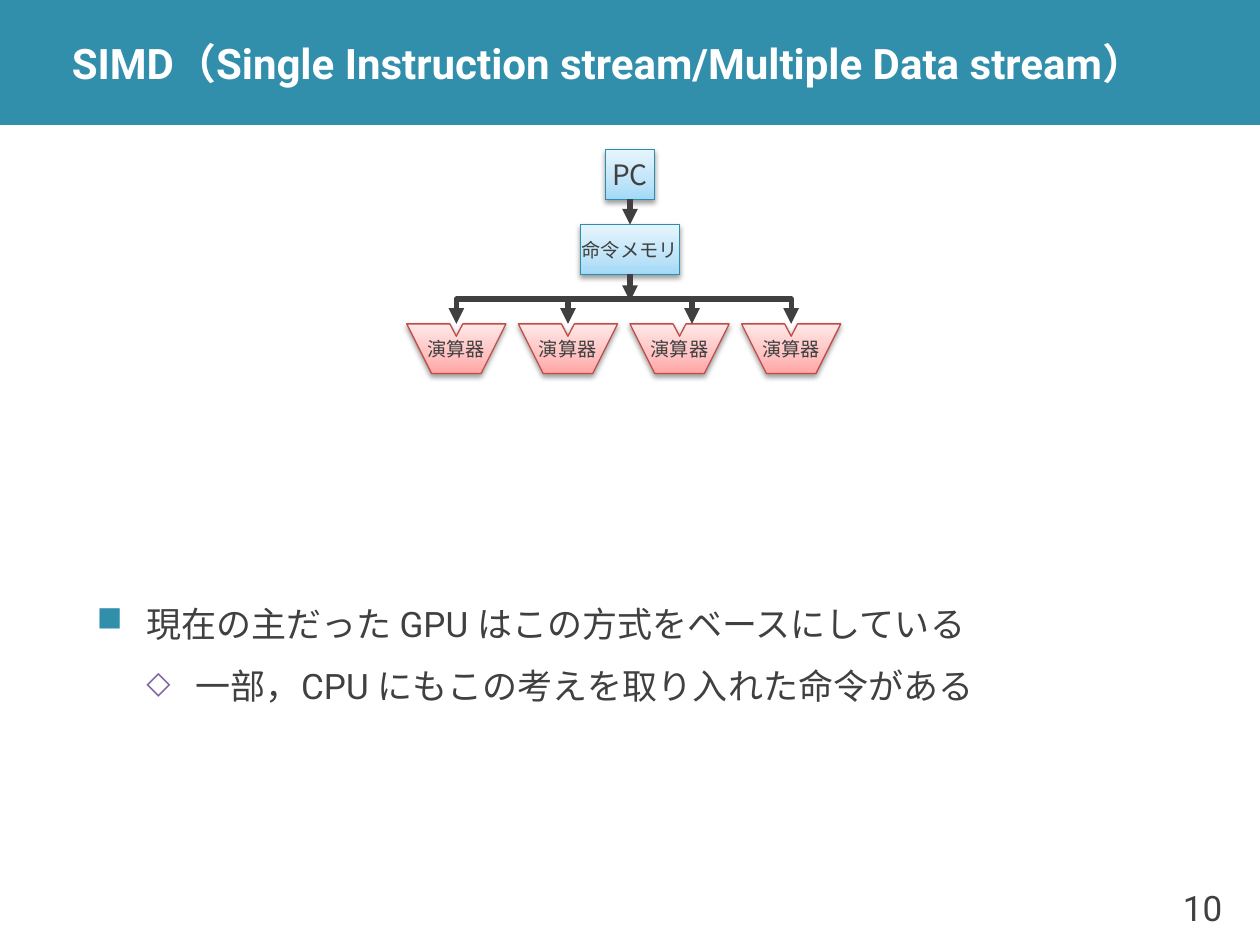
from lxml.etree import SubElement
from pptx import Presentation
from pptx.dml.color import RGBColor
from pptx.enum.shapes import MSO_CONNECTOR as Link, MSO_SHAPE as Preset
from pptx.enum.text import MSO_ANCHOR as Anchor, PP_ALIGN as Align
from pptx.oxml import parse_xml
from pptx.oxml.ns import nsdecls, qn
from pptx.util import Cm, Pt

TEAL = RGBColor(0x32, 0x8F, 0xAC)
WHITE = RGBColor(0xFF, 0xFF, 0xFF)
INK = RGBColor(0x40, 0x40, 0x40)
PURPLE = RGBColor(0x80, 0x64, 0xA2)
BLUE_EDGE = RGBColor(0x2E, 0x8D, 0xAB)
RED_EDGE = RGBColor(0xBF, 0x4C, 0x48)
BLUE_STOPS = [(0, RGBColor(0xA2, 0xD9, 0xF7)), (35, RGBColor(0xBF, 0xE4, 0xF8)),
              (100, RGBColor(0xE6, 0xF5, 0xFD))]
RED_STOPS = [(0, RGBColor(0xFF, 0xA6, 0xA5)), (35, RGBColor(0xFF, 0xC0, 0xBF)),
             (100, RGBColor(0xFF, 0xE7, 0xE7))]
LATIN, JAPANESE = "Roboto", "Noto Sans CJK JP"

TITLE = "SIMD（Single Instruction stream/Multiple Data stream）"
PAGE_NUMBER = "10"
BULLETS = [
    {"text": "現在の主だった GPU はこの方式をベースにしている", "mark": "■",
     "color": TEAL, "size": 100, "before": 0, "after": 6},
    {"text": "一部，CPU にもこの考えを取り入れた命令がある", "mark": "◇",
     "color": PURPLE, "size": 90, "before": 3, "after": 3},
]
STAGES = [("命令メモリ", 4.53, 2, 11), ("PC", 3.02, 1, 16)]
UNIT_LABEL = "演算器"
UNIT_OUTLINE = [(0, 0), (0.5, 1), (1.5, 1), (2, 0), (1.13, 0), (1, 0.25), (0.87, 0)]
UNIT_COUNT, UNIT_LEFT, UNIT_TOP, UNIT_PITCH = 4, 8.2, 6.53, 2.25
CENTER, BUS_TOP, INDENT = 12.7, 6.03, 1
DROPS = [(4.02, 4.53), (5.53, 6.07)]
BRANCHES = [(12.2, 9.2), (12.2, 11.45), (12.2, 13.95), (13.46, 15.95)]

deck = Presentation()
deck.slide_width, deck.slide_height = Cm(25.4), Cm(19.05)
page = deck.slides.add_slide(deck.slide_layouts[6])


def add_span(para, text, size, color=INK, font=LATIN, bold=False):
    span = para.add_run()
    span.text = text
    span.font.size, span.font.bold, span.font.name = Pt(size), bold, font
    span.font.color.rgb = color
    SubElement(span.font._element, qn("a:ea"), typeface=JAPANESE)


def add_box(left, top, width, height, wrap=True):
    frame = page.shapes.add_textbox(Cm(left), Cm(top), Cm(width), Cm(height)).text_frame
    frame.word_wrap, frame.vertical_anchor = wrap, Anchor.MIDDLE
    return frame


def add_bullet(para, item, level):
    para.level = level
    para.line_spacing = 1.1
    para.space_before, para.space_after = Pt(item["before"]), Pt(item["after"])
    props = para._p.get_or_add_pPr()
    props.set("marL", str(Cm(INDENT * (level + 1))))
    props.set("indent", str(-Cm(INDENT)))
    SubElement(SubElement(props, qn("a:buClr")), qn("a:srgbClr"), val=str(item["color"]))
    SubElement(props, qn("a:buSzPct"), val=str(item["size"] * 1000))
    SubElement(props, qn("a:buChar"), char=item["mark"])
    add_span(para, item["text"], 20)


def style_node(shape, label, size, stops, edge):
    shape.line.color.rgb, shape.line.width = edge, Pt(0.75)
    colors = "".join(f'<a:gs pos="{pos * 1000}"><a:srgbClr val="{color}"/></a:gs>'
                     for pos, color in stops)
    outline = shape.line._get_or_add_ln()
    outline.addprevious(parse_xml(
        f'<a:gradFill {nsdecls("a")} rotWithShape="1"><a:gsLst>{colors}</a:gsLst>'
        '<a:lin ang="16200000" scaled="0"/></a:gradFill>'))
    outline.addnext(parse_xml(
        f'<a:effectLst {nsdecls("a")}><a:outerShdw blurRad="{Pt(3.1)}" dist="{Pt(1.6)}" '
        'dir="5400000" rotWithShape="0"><a:srgbClr val="000000"><a:alpha val="38000"/>'
        '</a:srgbClr></a:outerShdw></a:effectLst>'))
    frame = shape.text_frame
    frame.word_wrap, frame.vertical_anchor = False, Anchor.MIDDLE
    para = frame.paragraphs[0]
    para.alignment = Align.CENTER
    add_span(para, label, size, font=JAPANESE)


def style_arrow(shape):
    shape.line.color.rgb, shape.line.width = INK, Pt(3)
    outline = shape.line._get_or_add_ln()
    SubElement(outline, qn("a:round"))
    SubElement(outline, qn("a:tailEnd"), type="triangle")


def add_outline(points, close):
    points = [(Cm(x), Cm(y)) for x, y in points]
    builder = page.shapes.build_freeform(*points[0])
    builder.add_line_segments(points[1:], close=close)
    return builder.convert_to_shape()


banner = page.shapes.add_shape(Preset.RECTANGLE, 0, 0, Cm(25.4), Cm(2.52))
banner.shadow.inherit = False
banner.fill.solid()
banner.fill.fore_color.rgb = TEAL
banner.line.fill.background()

title = add_box(1.2, 0, 24.2, 2.52)
title.margin_top = title.margin_bottom = 0
add_span(title.paragraphs[0], TITLE, 24, WHITE, bold=True)

number = add_box(23.19, 17.53, 1.7, 1.52)
number.paragraphs[0].alignment = Align.RIGHT
add_span(number.paragraphs[0], PAGE_NUMBER, 20)

body = add_box(1.7, 8.53, 23, 9.25)
for level, item in enumerate(BULLETS):
    para = body.add_paragraph() if level else body.paragraphs[0]
    add_bullet(para, item, level)

for label, top, width, size in STAGES:
    stage = page.shapes.add_shape(Preset.RECTANGLE, Cm(CENTER - width / 2), Cm(top),
                                  Cm(width), Cm(1))
    style_node(stage, label, size, BLUE_STOPS, BLUE_EDGE)

for index in range(UNIT_COUNT):
    left = UNIT_LEFT + index * UNIT_PITCH
    unit = add_outline([(left + x, UNIT_TOP + y) for x, y in UNIT_OUTLINE], True)
    style_node(unit, UNIT_LABEL, 11, RED_STOPS, RED_EDGE)

for start, end in DROPS:
    drop = page.shapes.add_connector(Link.STRAIGHT, Cm(CENTER), Cm(start), Cm(CENTER), Cm(end))
    style_arrow(drop)
    SubElement(drop._element.spPr, qn("a:effectLst"))

for start, end in BRANCHES:
    branch = add_outline([(start, BUS_TOP), (end, BUS_TOP), (end, UNIT_TOP)], False)
    branch.shadow.inherit = False
    branch.fill.background()
    style_arrow(branch)

deck.save("out.pptx")
